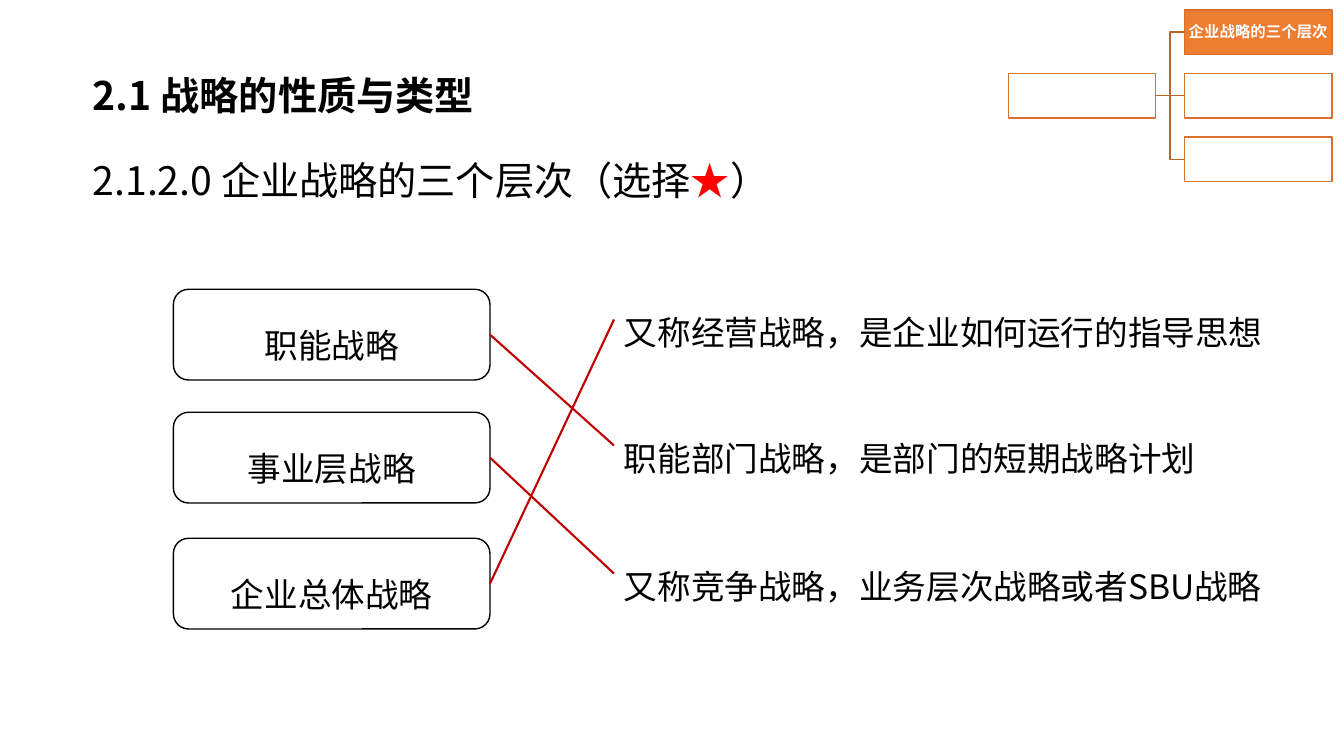
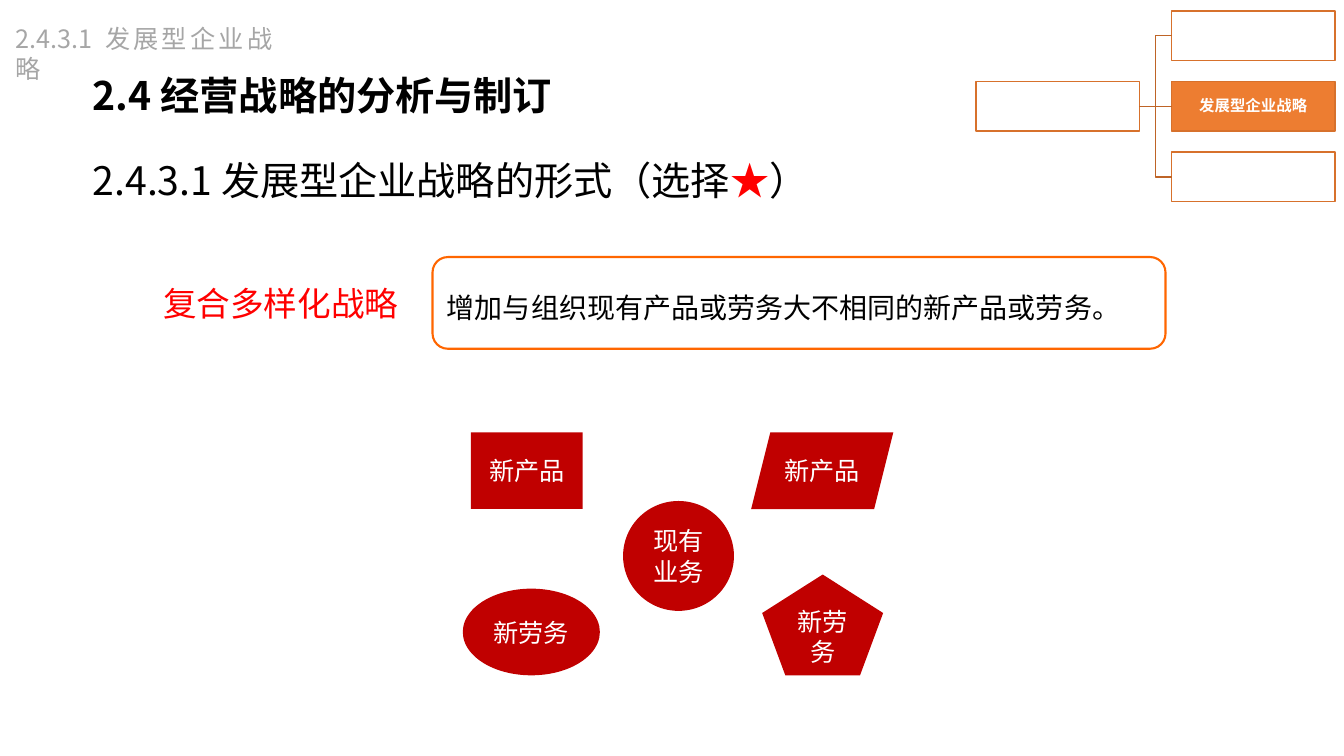
from lxml import etree
from pptx import Presentation
from pptx.dml import color
from pptx.enum import shapes, text
from pptx.oxml import ns
from pptx.util import Inches, Pt

SANS_SC, SANS_JP = "Noto Sans CJK SC", "Noto Sans CJK JP"
BLACK, WHITE, GREY = "000000", "FFFFFF", "A6A6A6"
RED, DARK_RED = "FF0000", "C00000"
ORANGE, TREE_EDGE, TREE_LINE, FRAME = "ED7D31", "D7712C", "BE6427", "FF6600"

Kind = shapes.MSO_SHAPE
Link = shapes.MSO_CONNECTOR
Align = text.PP_ALIGN
Anchor = text.MSO_ANCHOR
GROW = text.MSO_AUTO_SIZE.SHAPE_TO_FIT_TEXT
FIXED = text.MSO_AUTO_SIZE.NONE

HEAD_FRAME = {
    "margin_left": Inches(0.12), "margin_right": Inches(0.12),
    "margin_top": Inches(0.06), "margin_bottom": Inches(0.06),
    "auto_size": FIXED,
}
TIGHT_FRAME = {f"margin_{side}": Inches(0.01)
               for side in ("left", "right", "top", "bottom")}
LABEL = {"alignment": Align.CENTER}


def rgb(code):
    return color.RGBColor.from_string(code)


def set_values(target, values):
    for name, value in values.items():
        setattr(target, name, value)


def write(box, spans, size, font=SANS_SC, bold=False, frame=None, para=None):
    """Fill a box with one paragraph made of (wording, colour) spans."""
    set_values(box.text_frame, {"word_wrap": True, **(frame or {})})
    line = box.text_frame.paragraphs[0]
    set_values(line, {"alignment": Align.LEFT, **(para or {})})
    for wording, code in spans:
        span = line.add_run()
        span.text = wording
        set_values(span.font, {"size": Pt(size), "name": font, "bold": bold})
        span.font.color.rgb = rgb(code)
        east_asian = etree.SubElement(span.font._element, ns.qn("a:ea"))
        east_asian.set("typeface", font)


def add_label(page, area, wording, size, code=BLACK, font=SANS_SC, para=None):
    box = page.shapes.add_textbox(*map(Inches, area))
    write(box, [(wording, code)], size, font,
          frame={"auto_size": GROW}, para=para)


def add_block(page, kind, area, fill=None, edge=None, width=1):
    block = page.shapes.add_shape(kind, *map(Inches, area))
    block.shadow.inherit = False
    block.text_frame.vertical_anchor = Anchor.MIDDLE
    if fill:
        block.fill.solid()
        block.fill.fore_color.rgb = rgb(fill)
    else:
        block.fill.background()
    if edge:
        block.line.color.rgb = rgb(edge)
        block.line.width = Pt(width)
    else:
        block.line.fill.background()
    return block


def add_link(page, kind, start, code, width, end=None, point=(0, 0)):
    """Draw a line from a block's right side to a block's left side or a point."""
    link = page.shapes.add_connector(kind, 0, 0, *map(Inches, point))
    link.begin_connect(start, 3)
    if end is not None:
        end.text_frame  # blocks only
        link.end_connect(end, 1)
    link.line.color.rgb = rgb(code)
    link.line.width = Pt(width)
    etree.SubElement(link._element.spPr, ns.qn("a:effectLst"))


def add_headings(page, title, topic):
    heading = page.shapes.title
    set_values(heading, {"left": Inches(0.8), "top": Inches(0.65),
                         "width": Inches(11.45), "height": Inches(0.59)})
    write(heading, [(title, BLACK)], 28, bold=True,
          frame={**HEAD_FRAME, "vertical_anchor": Anchor.TOP})
    box = page.shapes.add_textbox(*map(Inches, (0.8, 1.15, 12.16, 1.04)))
    write(box, [(f"{topic}（选择", BLACK), ("★", RED), ("）", BLACK)], 28,
          frame={**HEAD_FRAME, "vertical_anchor": Anchor.MIDDLE},
          para={"line_spacing": 1.5})


def add_tree(page, left, top, size, gap, step, active, wording):
    """Draw one parent with three children, the active one filled and named."""
    width, height = size
    parent = add_block(page, Kind.RECTANGLE, (left, top + step, width, height),
                       WHITE, TREE_EDGE)
    for row in range(3):
        area = (left + width + gap, top + row * step, width, height)
        child = add_block(page, Kind.RECTANGLE, area,
                          ORANGE if row == active else WHITE, TREE_EDGE)
        if row == active:
            write(child, [(wording, WHITE)], 11, bold=True, frame=TIGHT_FRAME,
                  para={**LABEL, "line_spacing": 0.9})
        kind = Link.STRAIGHT if row == 1 else Link.ELBOW
        add_link(page, kind, parent, TREE_LINE, 1, end=child)


def build_levels(page):
    add_headings(page, "2.1 战略的性质与类型", "2.1.2.0 企业战略的三个层次")
    add_tree(page, 10, 0.1, (1.46, 0.44), 0.29, 0.63, 0, "企业战略的三个层次")
    meanings = [
        (2.85, "又称经营战略，是企业如何运行的指导思想"),
        (4.1, "职能部门战略，是部门的短期战略计划"),
        (5.37, "又称竞争战略，业务层次战略或者SBU战略"),
    ]
    for top, wording in meanings:
        add_label(page, (6.09, top, 6.87, 0.64), wording, 24,
                  para={"line_spacing": 1.5})
    levels = [
        (2.87, "职能战略", 1),
        (4.09, "事业层战略", 2),
        (5.34, "企业总体战略", 0),
    ]
    for top, wording, match in levels:
        level = add_block(page, Kind.ROUNDED_RECTANGLE,
                          (1.72, top, 3.14, 0.9), WHITE, BLACK)
        write(level, [(wording, BLACK)], 24,
              para={**LABEL, "line_spacing": 1.5})
        add_link(page, Link.STRAIGHT, level, DARK_RED, 1.5,
                 point=(6.09, meanings[match][0] + 0.32))


def build_growth(page):
    add_headings(page, "2.4 经营战略的分析与制订", "2.4.3.1 发展型企业战略的形式")
    add_tree(page, 9.68, 0.11, (1.62, 0.49), 0.32, 0.7, 1, "发展型企业战略")
    add_label(page, (0.06, 0.18, 2.74, 0.4), "2.4.3.1 发展型企业战略", 18, GREY,
              para={"alignment": Align.JUSTIFY})
    add_label(page, (1.52, 2.76, 2.77, 0.5), "复合多样化战略", 24, RED, SANS_JP)
    meaning = add_block(page, Kind.ROUNDED_RECTANGLE,
                        (4.29, 2.55, 7.27, 0.91), edge=FRAME, width=1.5)
    write(meaning, [("增加与组织现有产品或劳务大不相同的新产品或劳务。", BLACK)],
          20, SANS_JP, para={"line_spacing": Pt(30)})
    offers = [
        (Kind.OVAL, (6.18, 4.97, 1.1, 1.09), "现有业务"),
        (Kind.PARALLELOGRAM, (7.45, 4.29, 1.41, 0.76), "新产品"),
        (Kind.RECTANGLE, (4.67, 4.29, 1.11, 0.76), "新产品"),
        (Kind.OVAL, (4.59, 5.84, 1.36, 0.86), "新劳务"),
        (Kind.REGULAR_PENTAGON, (7.56, 5.7, 1.2, 1), "新劳务"),
    ]
    for kind, area, wording in offers:
        offer = add_block(page, kind, area, DARK_RED)
        write(offer, [(wording, WHITE)], 18, SANS_JP, para=LABEL)


def main():
    deck = Presentation()
    set_values(deck, {"slide_width": Inches(13.33),
                      "slide_height": Inches(7.5)})
    title_only = deck.slide_layouts[5]
    for build in (build_levels, build_growth):
        build(deck.slides.add_slide(title_only))
    deck.save("out.pptx")


if __name__ == "__main__":
    main()
